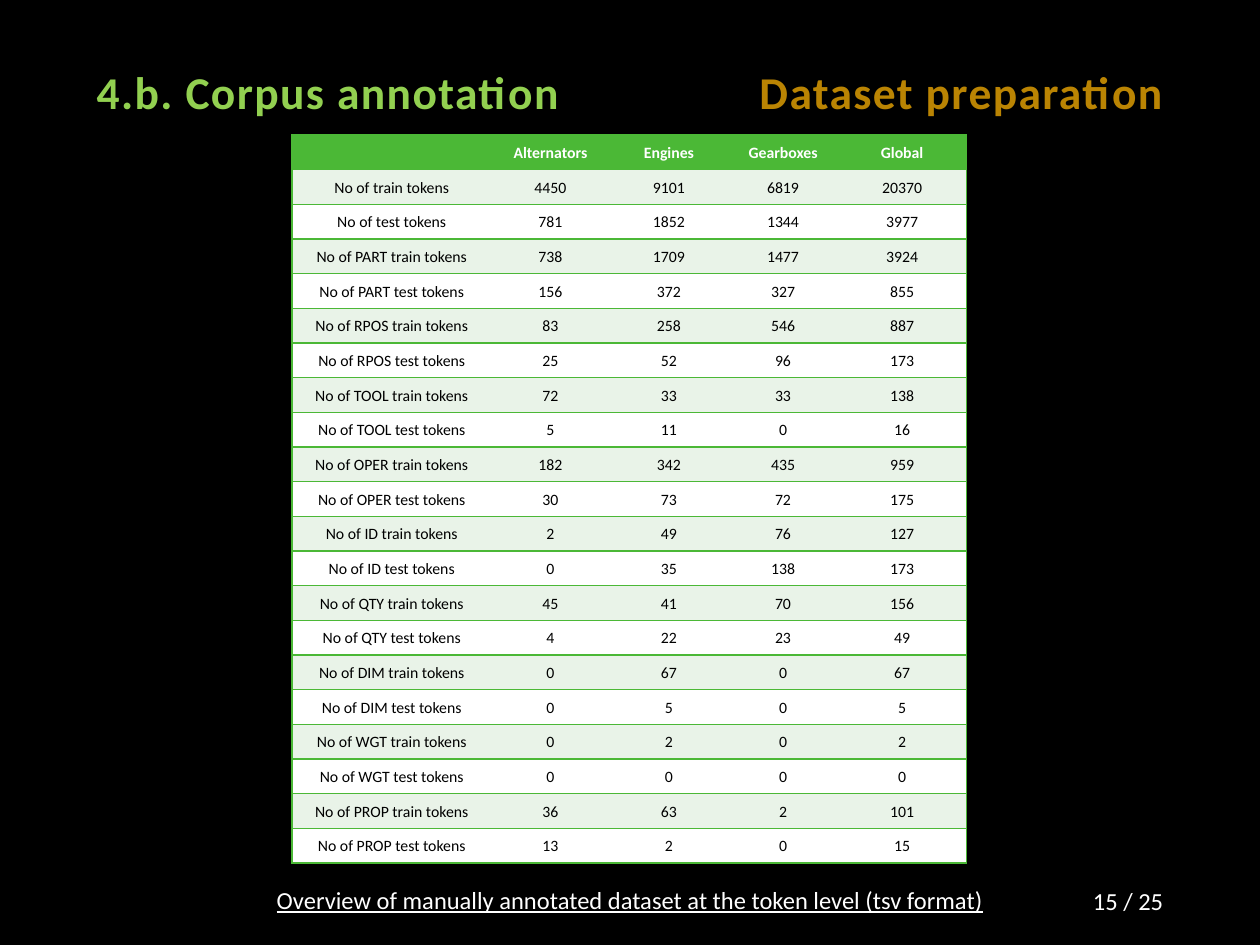
from dataclasses import dataclass

from lxml import etree
from pptx import Presentation
from pptx import util as u
from pptx.dml import color
from pptx.enum import text
from pptx.oxml import ns


@dataclass(frozen=True)
class Theme:
    font: str = "Calibri"
    background: str = "000000"
    title: str = "92D050"
    section: str = "BA8403"
    light: str = "FFFFFF"
    dark: str = "000000"
    accent: str = "4BB836"
    band: str = "E9F3E8"
    title_size: float = 26
    footer_size: float = 14
    table_size: float = 9
    border_width: float = 1


@dataclass(frozen=True)
class Label:
    wording: str
    left: float
    top: float
    width: float
    height: float
    size: float
    colour: str
    align: text.PP_ALIGN
    anchor: text.MSO_ANCHOR
    bold: bool = False
    underline: bool = False
    line_spacing: float = 1.0
    letter_spacing: int = 0


@dataclass(frozen=True)
class TokenCounts:
    entity: str
    train: tuple[int, ...]
    test: tuple[int, ...]


THEME = Theme()
ALIGN, ANCHOR = text.PP_ALIGN, text.MSO_ANCHOR
NO_GRID_STYLE = "{2D5ABB26-0587-4C30-8999-92F81FD0307C}"

LABELS = (
    Label("4.b. Corpus annotation", 1.7, 1.07, 14.2, 1.47, THEME.title_size, THEME.title,
          ALIGN.LEFT, ANCHOR.BOTTOM, bold=True, line_spacing=0.9, letter_spacing=80),
    Label("Dataset preparation", 13.49, 1.07, 10.21, 1.47, THEME.title_size, THEME.section,
          ALIGN.RIGHT, ANCHOR.BOTTOM, bold=True, line_spacing=0.9, letter_spacing=80),
    Label("15 / 25", 21.11, 17.78, 2.59, 0.76, THEME.footer_size, THEME.light,
          ALIGN.RIGHT, ANCHOR.MIDDLE),
    Label("Overview of manually annotated dataset at the token level (tsv format)",
          3.2, 17.78, 19, 0.79, THEME.footer_size, THEME.light,
          ALIGN.CENTER, ANCHOR.TOP, underline=True, line_spacing=0.9),
)

TABLE_LEFT, TABLE_TOP, ROW_HEIGHT = 5.89, 2.72, 0.7
COLUMN_WIDTHS = (4.01, 2.39, 2.39, 2.21, 2.59)
HEADER = ("", "Alternators", "Engines", "Gearboxes", "Global")
COUNTS = (
    TokenCounts("", (4450, 9101, 6819, 20370), (781, 1852, 1344, 3977)),
    TokenCounts("PART ", (738, 1709, 1477, 3924), (156, 372, 327, 855)),
    TokenCounts("RPOS ", (83, 258, 546, 887), (25, 52, 96, 173)),
    TokenCounts("TOOL ", (72, 33, 33, 138), (5, 11, 0, 16)),
    TokenCounts("OPER ", (182, 342, 435, 959), (30, 73, 72, 175)),
    TokenCounts("ID ", (2, 49, 76, 127), (0, 35, 138, 173)),
    TokenCounts("QTY ", (45, 41, 70, 156), (4, 22, 23, 49)),
    TokenCounts("DIM ", (0, 67, 0, 67), (0, 5, 0, 5)),
    TokenCounts("WGT ", (0, 2, 0, 2), (0, 0, 0, 0)),
    TokenCounts("PROP ", (36, 63, 2, 101), (13, 2, 0, 15)),
)


def rgb(value: str) -> color.RGBColor:
    return color.RGBColor.from_string(value)


def format_runs(paragraph, size: float, colour: str, bold: bool = False,
                underline: bool = False) -> None:
    for run in paragraph.runs:
        run.font.name = THEME.font
        run.font.size = u.Pt(size)
        run.font.bold = bold
        run.font.underline = underline
        run.font.color.rgb = rgb(colour)


def add_label(slide, label: Label) -> None:
    shape = slide.shapes.add_textbox(u.Cm(label.left), u.Cm(label.top),
                                     u.Cm(label.width), u.Cm(label.height))
    frame = shape.text_frame
    frame.word_wrap = True
    frame.vertical_anchor = label.anchor
    frame.text = label.wording
    paragraph = frame.paragraphs[0]
    paragraph.alignment = label.align
    paragraph.line_spacing = label.line_spacing
    format_runs(paragraph, label.size, label.colour, label.bold, label.underline)
    if label.letter_spacing:
        for run in paragraph.runs:
            run.font._element.set("spc", str(label.letter_spacing))


def add_border(cell, side: str) -> None:
    properties = cell._tc.get_or_add_tcPr()
    line = etree.SubElement(properties, ns.qn(f"a:ln{side}"), w=str(u.Pt(THEME.border_width)))
    fill = etree.SubElement(line, ns.qn("a:solidFill"))
    etree.SubElement(fill, ns.qn("a:srgbClr"), val=THEME.accent)


def fill_cell(cell, wording: str, fill: str, colour: str, bold: bool, sides: str) -> None:
    cell.margin_left = cell.margin_right = cell.margin_top = u.Cm(0.03)
    cell.margin_bottom = 0
    cell.vertical_anchor = ANCHOR.MIDDLE
    for side in sides:
        add_border(cell, side)
    cell.fill.solid()
    cell.fill.fore_color.rgb = rgb(fill)
    paragraph = cell.text_frame.paragraphs[0]
    paragraph.alignment = ALIGN.CENTER
    if wording:
        paragraph.text = wording
        format_runs(paragraph, THEME.table_size, colour, bold)
    else:
        etree.SubElement(paragraph._p, ns.qn("a:endParaRPr"), sz=str(u.Pt(THEME.table_size).centipoints))


def table_rows() -> list[tuple]:
    rows = [HEADER]
    for counts in COUNTS:
        rows.append((f"No of {counts.entity}train tokens", *counts.train))
        rows.append((f"No of {counts.entity}test tokens", *counts.test))
    return rows


def add_token_table(slide) -> None:
    rows = table_rows()
    last_column = len(HEADER) - 1
    frame = slide.shapes.add_table(len(rows), len(HEADER), u.Cm(TABLE_LEFT), u.Cm(TABLE_TOP),
                                   u.Cm(sum(COLUMN_WIDTHS)), u.Cm(ROW_HEIGHT * len(rows)))
    table = frame.table
    table._tbl.tblPr.find(ns.qn("a:tableStyleId")).text = NO_GRID_STYLE
    for column, width in zip(table.columns, COLUMN_WIDTHS):
        column.width = u.Cm(width)
    for row_index, values in enumerate(rows):
        table.rows[row_index].height = u.Cm(ROW_HEIGHT)
        is_header = row_index == 0
        band = THEME.band if row_index % 2 else THEME.light
        fill = THEME.accent if is_header else band
        colour = THEME.light if is_header else THEME.dark
        for column_index, value in enumerate(values):
            sides = {0: "LTB", last_column: "RTB"}.get(column_index, "TB")
            fill_cell(table.cell(row_index, column_index), str(value), fill, colour, is_header, sides)


def main() -> None:
    presentation = Presentation()
    presentation.slide_width = u.Cm(25.4)
    presentation.slide_height = u.Cm(19.05)
    slide = presentation.slides.add_slide(presentation.slide_layouts[6])
    slide.background.fill.solid()
    slide.background.fill.fore_color.rgb = rgb(THEME.background)
    add_token_table(slide)
    for label in LABELS:
        add_label(slide, label)
    presentation.save("out.pptx")


if __name__ == "__main__":
    main()
